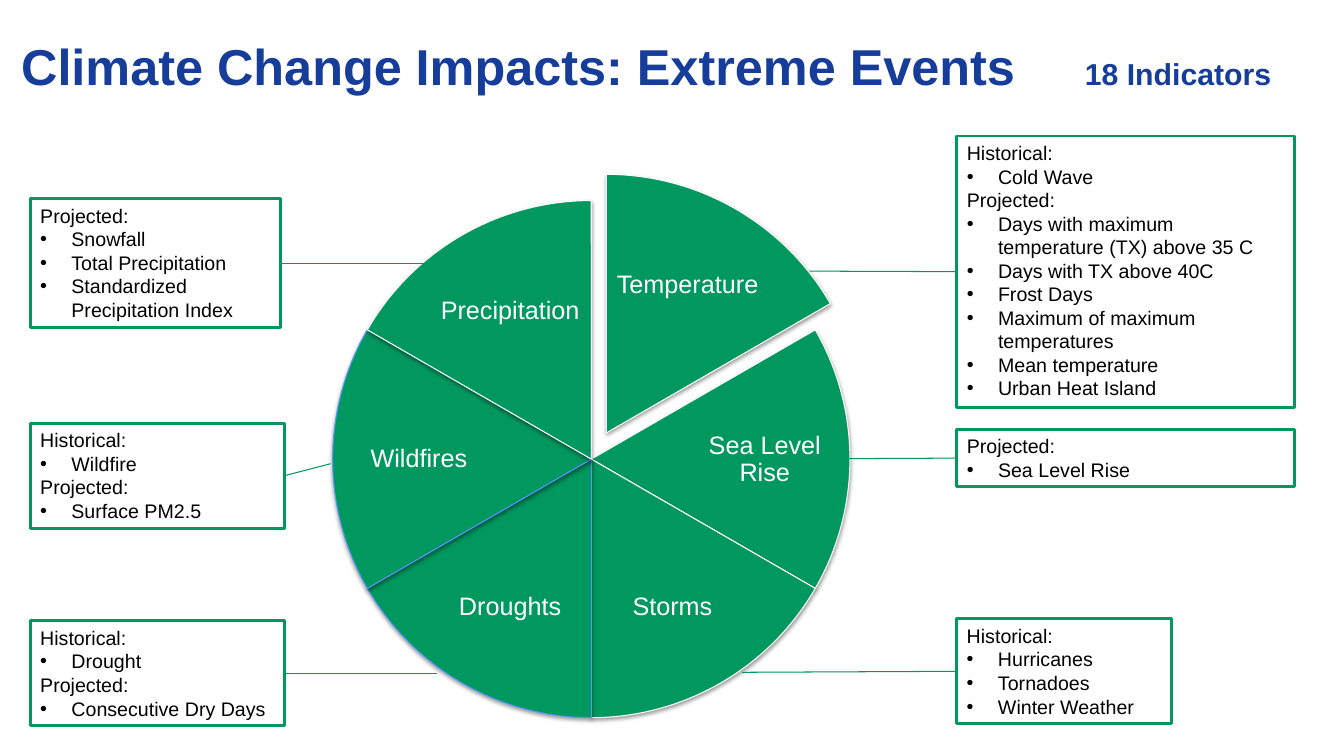
from dataclasses import dataclass
from typing import Any

from lxml.etree import SubElement
from pptx import Presentation
from pptx.dml.color import RGBColor
from pptx.enum.shapes import MSO_CONNECTOR, MSO_SHAPE
from pptx.enum.text import MSO_ANCHOR, MSO_AUTO_SIZE, PP_ALIGN
from pptx.oxml.ns import qn
from pptx.util import Inches, Pt

GREEN, WHITE, BLUE, NAVY, BLACK = "00985F", "FFFFFF", "5995FF", "173D9A", "000000"
DIAMETER = 5.13
PIE_LEFT, PIE_TOP = 3.3, 1.99
FULL_TURN, FIRST_ANGLE, WEDGE_ANGLE = 216, 162, 36  # one degree is 0.6 units
HEADINGS = ("Historical:", "Projected:")
BULLET_INDENT = Inches(0.31)
BOX_FORMAT = {"word_wrap": True, "vertical_anchor": MSO_ANCHOR.TOP}
LABEL_FORMAT = {"word_wrap": True, "vertical_anchor": MSO_ANCHOR.MIDDLE}


@dataclass
class Wedge:
    label: str
    label_box: tuple[float, float, float, float]
    outline: str = WHITE
    offset: tuple[float, float] = (0, 0)


@dataclass
class Callout:
    box: tuple[float, float, float, float]
    pie_point: tuple[float, float]
    lines: list[str]


WEDGES = [
    Wedge("Temperature", (6.07, 2.28, 1.5, 1.1), offset=(0.15, -0.26)),
    Wedge("Sea Level Rise", (6.81, 4.04, 1.55, 1.04)),
    Wedge("Storms", (5.92, 5.48, 1.5, 1.1)),
    Wedge("Droughts", (4.31, 5.48, 1.5, 1.1), BLUE),
    Wedge("Wildfires", (3.38, 4.04, 1.55, 1.04), BLUE),
    Wedge("Precipitation", (4.31, 2.54, 1.5, 1.1)),
]

CALLOUTS = [
    Callout((9.49, 1.35, 3.35, 2.69), (8.03, 2.69), [
        "Historical:", "Cold Wave", "Projected:",
        "Days with maximum temperature (TX) above 35 C", "Days with TX above 40C",
        "Frost Days", "Maximum of maximum temperatures", "Mean temperature",
        "Urban Heat Island"]),
    Callout((9.49, 4.26, 3.35, 0.57), (8.41, 4.55), ["Projected:", "Sea Level Rise"]),
    Callout((9.49, 6.14, 2.13, 1.04), (7.36, 6.67), [
        "Historical:", "Hurricanes", "Tornadoes", "Winter Weather"]),
    Callout((0.3, 4.2, 2.52, 1.04), (3.28, 4.6), [
        "Historical:", "Wildfire", "Projected:", "Surface PM2.5"]),
    Callout((0.3, 1.97, 2.48, 1.28), (4.22, 2.61), [
        "Projected:", "Snowfall", "Total Precipitation", "Standardized Precipitation Index"]),
    Callout((0.3, 6.16, 2.52, 1.04), (4.33, 6.68), [
        "Historical:", "Drought", "Projected:", "Consecutive Dry Days"]),
]


def color(value: str) -> RGBColor:
    return RGBColor.from_string(value)


def inches(values: tuple[float, ...]) -> list[int]:
    return [Inches(value) for value in values]


def apply_format(target: Any, values: dict[str, Any]) -> None:
    for name, value in values.items():
        setattr(target, name, value)


def set_margins(frame: Any, margin: float) -> None:
    apply_format(frame, {f"margin_{side}": Inches(margin)
                         for side in ("left", "top", "right", "bottom")})


def style_font(font: Any, size: float, hex_color: str, bold: bool = False) -> None:
    apply_format(font, {"name": "Arial", "size": Pt(size), "bold": bold})
    font.color.rgb = color(hex_color)


def style_shape(shape: Any, fill: str, outline: str, width: float) -> None:
    shape.shadow.inherit = False
    shape.fill.solid()
    shape.fill.fore_color.rgb = color(fill)
    shape.line.color.rgb = color(outline)
    shape.line.width = Pt(width)


def add_soft_shadow(shape: Any) -> None:
    effects = shape._element.spPr.find(qn("a:effectLst"))
    shadow = SubElement(effects, qn("a:outerShdw"), blurRad=str(Pt(3.1)),
                        dist=str(Pt(1.6)), dir="5400000", rotWithShape="0")
    shade = SubElement(shadow, qn("a:srgbClr"), val=BLACK)
    SubElement(shade, qn("a:alpha"), val="38000")


def add_title(slide: Any) -> None:
    frame = slide.shapes.add_textbox(*inches((0.21, 0.39, 12.86, 0.75))).text_frame
    apply_format(frame, BOX_FORMAT)
    set_margins(frame, 0)
    paragraph = frame.paragraphs[0]
    paragraph.line_spacing = 0.95
    tabs = SubElement(paragraph._p.get_or_add_pPr(), qn("a:tabLst"))
    SubElement(tabs, qn("a:tab"), pos=str(Inches(10.55)), algn="l")
    for text, size in (("Climate Change Impacts: Extreme Events\t", 36), ("18 Indicators", 21.6)):
        run = paragraph.add_run()
        run.text = text
        style_font(run.font, size, NAVY, bold=True)


def add_wedge(group: Any, wedge: Wedge, index: int) -> None:
    left, top = PIE_LEFT + wedge.offset[0], PIE_TOP + wedge.offset[1]
    shape = group.shapes.add_shape(MSO_SHAPE.PIE, *inches((left, top, DIAMETER, DIAMETER)))
    for side in (0, 1):
        shape.adjustments[side] = (FIRST_ANGLE + WEDGE_ANGLE * (index + side)) % FULL_TURN
    style_shape(shape, GREEN, wedge.outline, 0.75)
    add_soft_shadow(shape)

    frame = group.shapes.add_textbox(*inches(wedge.label_box)).text_frame
    apply_format(frame, LABEL_FORMAT)
    set_margins(frame, 0.03)
    paragraph = frame.paragraphs[0]
    apply_format(paragraph, {"text": wedge.label, "alignment": PP_ALIGN.CENTER,
                             "line_spacing": 0.9})
    style_font(paragraph.font, 18, WHITE)


def add_callout(slide: Any, callout: Callout) -> None:
    shape = slide.shapes.add_shape(MSO_SHAPE.RECTANGLE, *inches(callout.box))
    style_shape(shape, WHITE, GREEN, 2)
    frame = shape.text_frame
    apply_format(frame, BOX_FORMAT | {"auto_size": MSO_AUTO_SIZE.SHAPE_TO_FIT_TEXT})
    for index, line in enumerate(callout.lines):
        paragraph = frame.add_paragraph() if index else frame.paragraphs[0]
        apply_format(paragraph, {"text": line, "alignment": PP_ALIGN.LEFT})
        if line not in HEADINGS:
            properties = paragraph._p.get_or_add_pPr()
            properties.set("marL", str(BULLET_INDENT))
            properties.set("indent", str(-BULLET_INDENT))
            SubElement(properties, qn("a:buFont"), typeface="Arial")
            SubElement(properties, qn("a:buChar"), char="•")
        style_font(paragraph.font, 14, BLACK)

    # Leader line between the callout and its wedge
    point = inches(callout.pie_point)
    connector = slide.shapes.add_connector(MSO_CONNECTOR.STRAIGHT, *point, *point)
    if shape.left > point[0]:
        connector.end_connect(shape, 1)
    else:
        connector.begin_connect(shape, 3)
    connector.line.color.rgb = color(GREEN)
    connector.line.width = Pt(0.75)
    SubElement(connector._element.spPr, qn("a:effectLst"))


def main() -> None:
    presentation = Presentation()
    presentation.slide_width, presentation.slide_height = inches((13.33, 7.5))
    slide = presentation.slides.add_slide(presentation.slide_layouts[6])

    add_title(slide)

    # Pie of impact categories
    pie = slide.shapes.add_group_shape()
    for index, wedge in enumerate(WEDGES):
        add_wedge(pie, wedge, index)

    # Indicator lists
    for callout in CALLOUTS:
        add_callout(slide, callout)

    presentation.save("out.pptx")


if __name__ == "__main__":
    main()
